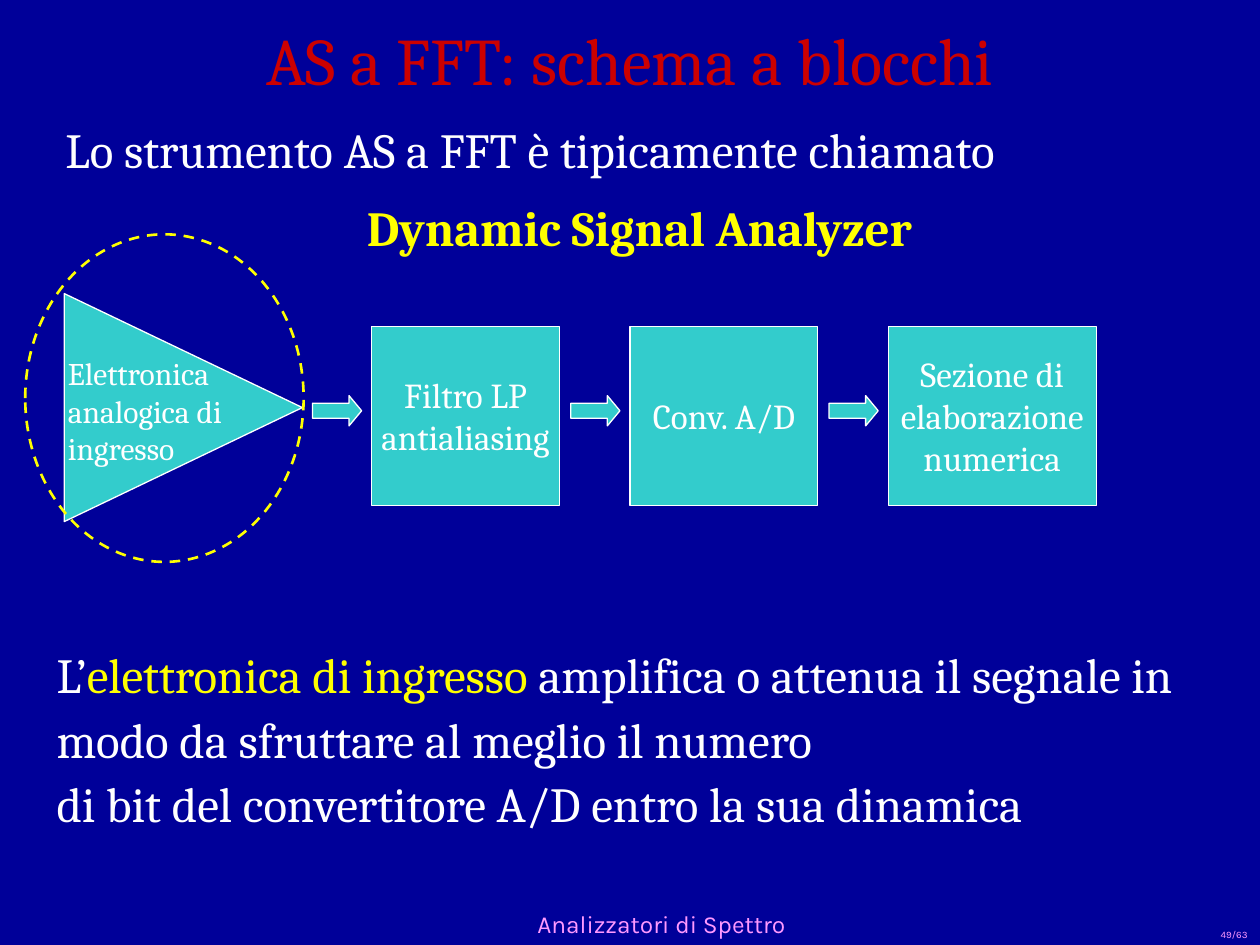
from pptx import Presentation
from pptx.dml.color import RGBColor
from pptx.enum.dml import MSO_LINE
from pptx.enum.shapes import MSO_SHAPE
from pptx.enum.text import MSO_ANCHOR, PP_ALIGN
from pptx.util import Inches, Pt

WHITE, YELLOW, RED = "FFFFFF", "FFFF00", "CC0000"
NAVY, TEAL, PINK = "000099", "33CCCC", "FF99FF"
SERIF, SANS = "Cambria", "Karla"

TITLE = "AS a FFT: schema a blocchi"
INTRO = "Lo strumento AS a FFT è tipicamente chiamato"
INSTRUMENT = "Dynamic Signal Analyzer"
INPUT_STAGE = "Elettronica analogica di ingresso"
BLOCKS = [  # text, width
    ("Filtro LP\nantialiasing", 1.49),
    ("Conv. A/D", 1.49),
    ("Sezione di\nelaborazione\nnumerica", 1.65),
]
EXPLANATION = [
    ("L’", WHITE),
    ("elettronica di ingresso", YELLOW),
    (" amplifica o attenua il segnale in modo da sfruttare al meglio il numero \n"
     "di bit del convertitore A/D entro la sua dinamica", WHITE),
]
FOOTER, PAGE = "Analizzatori di Spettro", "49/63"

FIRST_BLOCK, BLOCK_PITCH, BLOCK_TOP, BLOCK_HEIGHT = 2.95, 2.05, 2.59, 1.42
ARROW_LEAD, ARROW_TOP, ARROW_WIDTH, ARROW_HEIGHT = 0.47, 3.14, 0.39, 0.24


def rgb(value):
    return RGBColor.from_string(value)


def write(paragraph, pieces, size, font=SERIF, align=PP_ALIGN.LEFT, bold=False,
          spacing=None, before=0):
    """Fill a paragraph with (text, colour) pieces; a newline breaks the line."""
    paragraph.alignment = align
    paragraph.space_before = Pt(before)
    if spacing:
        paragraph.line_spacing = spacing
    for text, color in pieces:
        for number, line in enumerate(text.split("\n")):
            if number:
                paragraph.add_line_break()
            run = paragraph.add_run()
            run.text = line
            run.font.name, run.font.size, run.font.bold = font, Pt(size), bold
            run.font.color.rgb = rgb(color)


def add_text_frame(box, anchor=MSO_ANCHOR.TOP):
    frame = slide.shapes.add_textbox(*map(Inches, box)).text_frame
    frame.word_wrap = True
    frame.vertical_anchor = anchor
    return frame


def add_figure(kind, box, fill=TEAL, line=WHITE, weight=0.75):
    figure = slide.shapes.add_shape(kind, *map(Inches, box))
    figure.shadow.inherit = False
    if fill:
        figure.fill.solid()
        figure.fill.fore_color.rgb = rgb(fill)
    else:
        figure.fill.background()
    figure.line.color.rgb = rgb(line)
    figure.line.width = Pt(weight)
    return figure


prs = Presentation()
prs.slide_width, prs.slide_height = Inches(10), Inches(7.5)
slide = prs.slides.add_slide(prs.slide_layouts[5])
slide.background.fill.solid()
slide.background.fill.fore_color.rgb = rgb(NAVY)

title = slide.shapes.title
title.left, title.top, title.width, title.height = map(Inches, (0, -0.11, 10, 1.16))
title.text_frame.vertical_anchor = MSO_ANCHOR.MIDDLE
write(title.text_frame.paragraphs[0], [(TITLE, RED)], 38, align=PP_ALIGN.CENTER)

footer = add_text_frame((1.39, 7.28, 7.72, 0.22), MSO_ANCHOR.BOTTOM)
write(footer.paragraphs[0], [(FOOTER, PINK)], 14, SANS, PP_ALIGN.CENTER)
page = add_text_frame((9.13, 7.29, 0.87, 0.22), MSO_ANCHOR.BOTTOM)
write(page.paragraphs[0], [(PAGE, PINK)], 5.6, SANS, PP_ALIGN.RIGHT)

intro = add_text_frame((0.42, 0.99, 9.31, 1.09))
write(intro.paragraphs[0], [(INTRO, WHITE)], 28, spacing=0.8, before=17.5)
write(intro.add_paragraph(), [(INSTRUMENT, YELLOW)], 28, align=PP_ALIGN.CENTER,
      bold=True, spacing=0.8, before=17.5)

amplifier = add_figure(MSO_SHAPE.ISOSCELES_TRIANGLE, (0.55, 2.29, 1.81, 1.89))
amplifier.rotation = 90
input_stage = add_text_frame((0.44, 2.76, 1.57, 1))
write(input_stage.paragraphs[0], [(INPUT_STAGE, WHITE)], 18)

for index, (label, width) in enumerate(BLOCKS):
    left = FIRST_BLOCK + index * BLOCK_PITCH
    block = add_figure(MSO_SHAPE.RECTANGLE, (left, BLOCK_TOP, width, BLOCK_HEIGHT))
    block.text_frame.word_wrap = False
    block.text_frame.vertical_anchor = MSO_ANCHOR.MIDDLE
    write(block.text_frame.paragraphs[0], [(label, WHITE)], 20, align=PP_ALIGN.CENTER)
    arrow = add_figure(MSO_SHAPE.RIGHT_ARROW,
                       (left - ARROW_LEAD, ARROW_TOP, ARROW_WIDTH, ARROW_HEIGHT))
    arrow.adjustments[1] = 0.415

explanation = add_text_frame((0.35, 5.02, 9.31, 2.16))
write(explanation.paragraphs[0], EXPLANATION, 28, spacing=1.1, before=17.5)

highlight = add_figure(MSO_SHAPE.OVAL, (0.2, 1.86, 2.21, 2.6), None, YELLOW, 1.5)
highlight.line.dash_style = MSO_LINE.DASH

prs.save("out.pptx")
